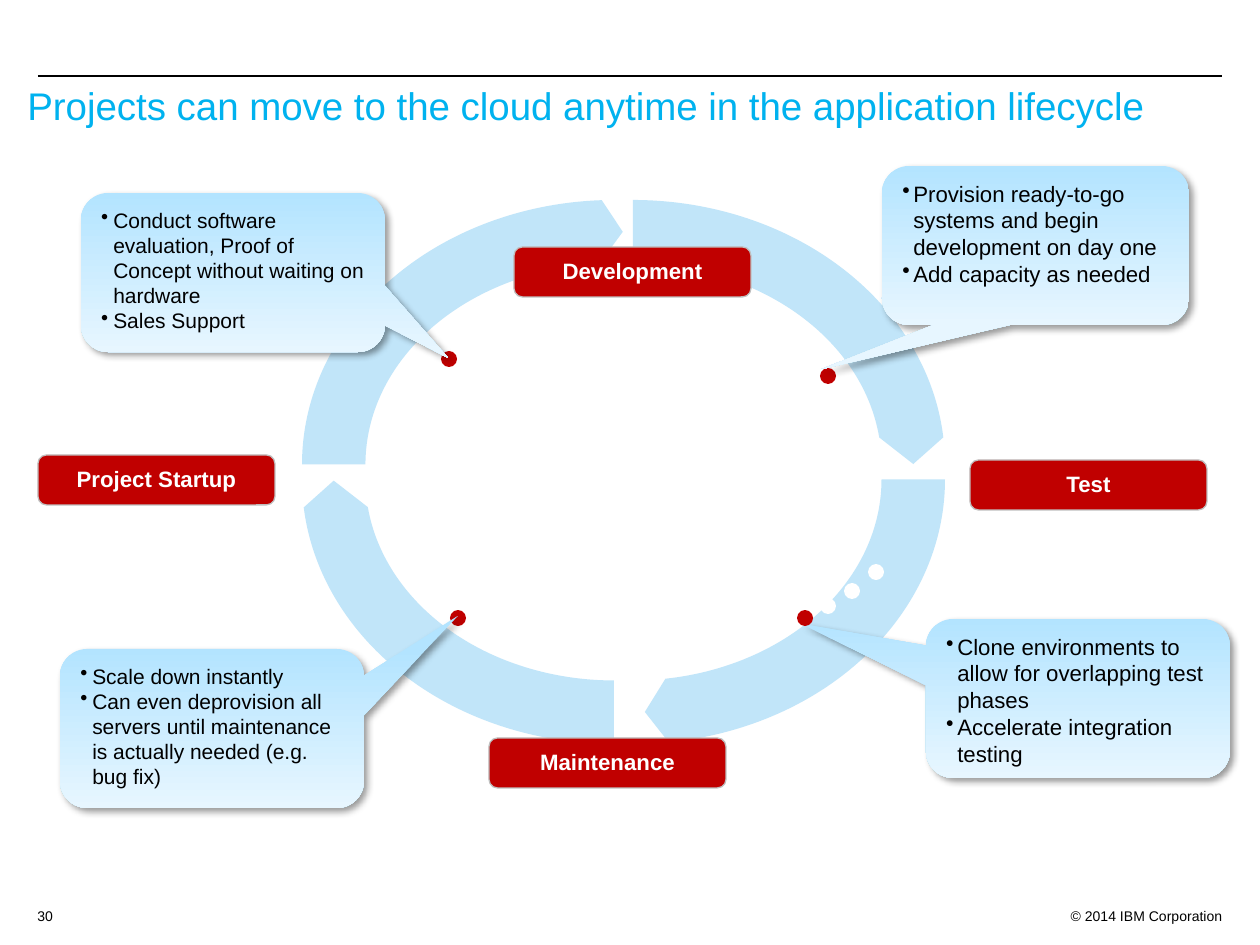
from pptx import Presentation, util as u
from pptx.dml.color import RGBColor
from pptx.enum import shapes, text
from pptx.oxml import parse_xml
from pptx.oxml.ns import nsdecls, qn
from pptx.oxml.xmlchemy import OxmlElement

THEME = {
    "font": "Arial", "ink": "000000", "title": "00B2EF", "ring": "C1E5F9",
    "red": "C00000", "edge": "BFBFBF", "white": "FFFFFF",
    "fade": ("B3E4FF", "E7F6FF"),
    "big": 22, "mid": 12.7, "body": 12, "small": 8, "rule": 0.75,
}
SIZE = (1260, 945)
RULE = (38, 76, 1222, 76)
TEXTS = [
    ("Projects can move to the cloud anytime in the application lifecycle",
     (15, 87, 1197, 48), "big", "title", "LEFT", "BOTTOM", 0.9),
    ("© 2014 IBM Corporation", (1046, 901, 189, 25), "small", "ink", "RIGHT", "TOP", 1),
    ("30", (25, 901, 50, 25), "small", "ink", "LEFT", "TOP", 1),
]
ARC = (624, 529)
ARCS = [
    ((321, 200), 212.67, 162),
    ((321, 215), 48.97, 0),
    ((302, 215), 104.57, 54),
    ((302, 200), 160.02, 108),
]
TAG = (237, 50)
TAGS = [
    ("Project Startup", (38, 455)),
    ("Development", (514, 247)),
    ("Test", (970, 460)),
    ("Maintenance", (489, 738)),
]
CALLS = [
    ((926, 619, 304, 159), (-0.91, -0.47), "mid", 11,
     ["Clone environments to allow for overlapping test phases",
      "Accelerate integration testing"]),
    ((81, 193, 304, 159), (0.71, 0.54), "body", 12,
     ["Conduct software evaluation, Proof of Concept without waiting on hardware",
      "Sales Support"]),
    ((60, 649, 304, 159), (0.81, -0.71), "body", 12,
     ["Scale down instantly",
      "Can even deprovision all servers until maintenance is actually needed (e.g. bug fix)"]),
    ((882, 166, 307, 159), (-0.7, 0.78), "mid", 11,
     ["Provision ready-to-go systems and begin development on day one",
      "Add capacity as needed"]),
]
DOT = (16, 16)
DOTS = {
    "red": [(441, 351), (450, 610), (820, 368), (797, 610)],
    "white": [(820, 598), (844, 583), (868, 564)],
}


def px(n):
    return round(n * 914400 / 126)


def rgb(key):
    return RGBColor.from_string(THEME.get(key, key))


def put(obj, **vals):
    for key, val in vals.items():
        setattr(obj, key, val)


def write(para, words, size, tint, bold=False):
    run = para.add_run()
    run.text = words
    put(run.font, name=THEME["font"], size=u.Pt(THEME[size]), bold=bold)
    run.font.color.rgb = rgb(tint)


def shape(kind, box, fill=None, adj=()):
    item = slide.shapes.add_shape(kind, *map(px, box))
    item.shadow.inherit = False
    item.line.fill.background()
    if fill:
        item.fill.solid()
        item.fill.fore_color.rgb = rgb(fill)
    for i, val in enumerate(adj):
        item.adjustments[i] = val
    return item


def label(words, box, size, tint, align, anchor, space):
    frame = slide.shapes.add_textbox(*map(px, box)).text_frame
    put(frame, word_wrap=True, vertical_anchor=text.MSO_ANCHOR[anchor])
    para = frame.paragraphs[0]
    put(para, alignment=text.PP_ALIGN[align], line_spacing=space)
    write(para, words, size, tint)


def tag(words, spot):
    item = shape(shapes.MSO_SHAPE.ROUNDED_RECTANGLE, spot + TAG, "red", (0.17,))
    item.line.color.rgb = rgb("edge")
    item.line.width = u.Pt(THEME["rule"])
    frame = item.text_frame
    put(frame, word_wrap=True, margin_left=0, margin_right=0,
        vertical_anchor=text.MSO_ANCHOR.MIDDLE)
    para = frame.paragraphs[0]
    put(para, alignment=text.PP_ALIGN.CENTER, line_spacing=0.9)
    write(para, words, "mid", "white", True)


def call(box, tip, size, dent, lines):
    item = shape(shapes.MSO_SHAPE.ROUNDED_RECTANGULAR_CALLOUT, box, adj=tip + (0.17,))
    item.fill.gradient()
    item.fill.gradient_angle = 270
    for stop, tint in zip(item.fill.gradient_stops, THEME["fade"]):
        stop.color.rgb = rgb(tint)
    item._element.spPr.find(qn("a:effectLst")).append(parse_xml(
        f'<a:outerShdw {nsdecls("a")} blurRad="{u.Pt(4)}" dist="{u.Pt(3)}" '
        f'dir="2700000" algn="tl" rotWithShape="0"><a:srgbClr val="{THEME["ink"]}">'
        '<a:alpha val="40000"/></a:srgbClr></a:outerShdw>'))
    frame = item.text_frame
    put(frame, word_wrap=True, vertical_anchor=text.MSO_ANCHOR.TOP)
    for i, words in enumerate(lines):
        para = frame.add_paragraph() if i else frame.paragraphs[0]
        para.alignment = text.PP_ALIGN.LEFT
        props = para._p.get_or_add_pPr()
        props.set("marL", str(px(dent)))
        props.set("indent", str(-px(dent)))
        mark = OxmlElement("a:buChar")
        mark.set("char", "•")
        props.append(mark)
        write(para, words, size, "ink")


deck = Presentation()
deck.slide_width, deck.slide_height = map(px, SIZE)
slide = deck.slides.add_slide(deck.slide_layouts[6])

rule = slide.shapes.add_connector(shapes.MSO_CONNECTOR.STRAIGHT, *map(px, RULE))
rule.line.color.rgb = rgb("ink")
rule.line.width = u.Pt(THEME["rule"])
rule._element.spPr.append(OxmlElement("a:effectLst"))

for row in TEXTS:
    label(*row)
for spot, end, start in ARCS:
    shape(shapes.MSO_SHAPE.CIRCULAR_ARROW, spot + ARC, "ring",
          (0.12, 3.28, end, start, 0.06))
for row in TAGS:
    tag(*row)
call(*CALLS[0])
for tint, spots in DOTS.items():
    for spot in spots:
        shape(shapes.MSO_SHAPE.OVAL, spot + DOT, tint)
for row in CALLS[1:]:
    call(*row)

deck.save("out.pptx")
